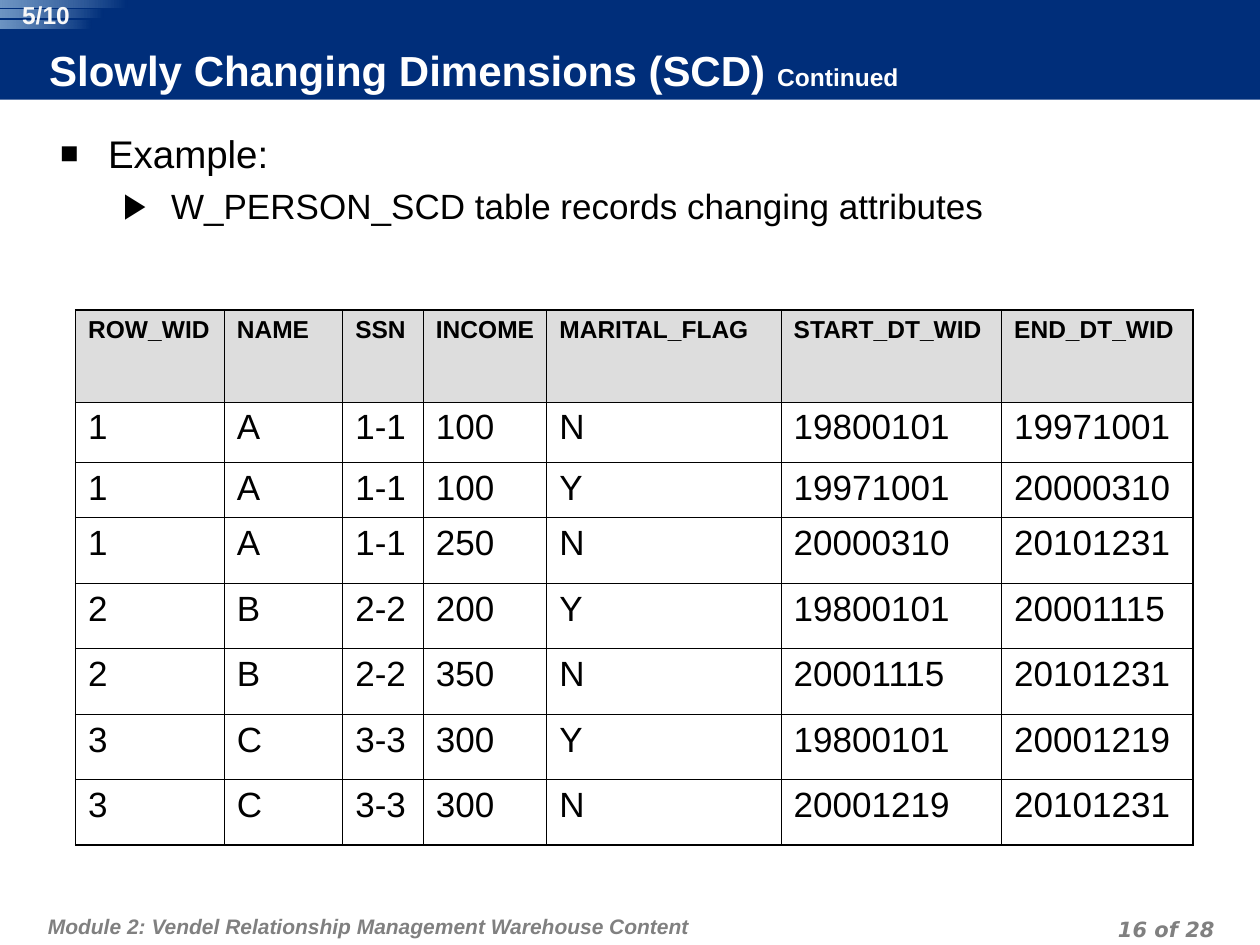
from lxml.etree import SubElement
from pptx import Presentation
from pptx.dml.color import RGBColor
from pptx.enum.dml import MSO_THEME_COLOR
from pptx.enum.shapes import MSO_SHAPE
from pptx.enum.text import MSO_ANCHOR, MSO_AUTO_SIZE, PP_ALIGN
from pptx.oxml import parse_xml
from pptx.oxml.ns import nsdecls, qn
from pptx.util import Emu, Inches, Pt

COLORS = {
    "navy": "002E7A", "sky": "90B5DA", "white": "FFFFFF", "counter": "F8F8F8",
    "black": "000000", "footer": "808080", "header": "DDDDDD",
}
COLUMN_WIDTHS = [1.18, 0.94, 0.64, 0.98, 1.86, 1.75, 1.52]
ROW_HEIGHTS = [0.73, 0.48, 0.44] + [0.52] * 5
OUTER_LINE, INNER_LINE = 1.08, 0.45
RECORDS = [
    "ROW_WID NAME SSN INCOME MARITAL_FLAG START_DT_WID END_DT_WID",
    "1 A 1-1 100 N 19800101 19971001",
    "1 A 1-1 100 Y 19971001 20000310",
    "1 A 1-1 250 N 20000310 20101231",
    "2 B 2-2 200 Y 19800101 20001115",
    "2 B 2-2 350 N 20001115 20101231",
    "3 C 3-3 300 Y 19800101 20001219",
    "3 C 3-3 300 N 20001219 20101231",
]
BULLETS = [
    # text, size, left indent, symbol, symbol size in percent
    ("Example:", 22, 0.38, "■", 80),
    ("W_PERSON_SCD table records changing attributes", 20, 0.88, "▶", 100),
]


def color(name):
    return RGBColor.from_string(COLORS[name])


def set_font(font, size, shade, bold=False, italic=False, family="Arial"):
    font.name, font.size, font.bold, font.italic = family, Pt(size), bold, italic
    font.color.rgb = color(shade)


def set_insets(frame, left, top, right, bottom):
    frame.margin_left, frame.margin_top = Inches(left), Inches(top)
    frame.margin_right, frame.margin_bottom = Inches(right), Inches(bottom)


def add_text_frame(slide, box, insets):
    frame = slide.shapes.add_textbox(*map(Inches, box)).text_frame
    frame.word_wrap = True
    set_insets(frame, *insets)
    return frame


def add_label(slide, box, insets, text, align, line_height=None, **font):
    label = add_text_frame(slide, box, insets).paragraphs[0]
    label.text, label.alignment = text, align
    if line_height:
        label.line_spacing = Pt(line_height)
    set_font(label.font, **font)


def add_block(slide, kind, box):
    block = slide.shapes.add_shape(kind, *map(Inches, box))
    block.shadow.inherit = False
    block.line.fill.background()
    return block


def add_stripe(slide, top, width, height):
    stripe = add_block(slide, MSO_SHAPE.ROUNDED_RECTANGLE, (0, top, width, height))
    stripe.adjustments[0] = 0
    stripe.fill.gradient()
    stripe.fill.gradient_angle = 180
    for stop, shade, place in zip(stripe.fill.gradient_stops, ("navy", "sky"), (0, 1)):
        stop.color.theme_color = MSO_THEME_COLOR.ACCENT_1
        stop.color.rgb = color(shade)
        stop.position = place
    # The light end is partly transparent
    light = stripe.fill._fill._gradFill.findall(".//" + qn("a:srgbClr"))[-1]
    SubElement(light, qn("a:alpha"), val="76000")


def format_title(slide):
    title = slide.shapes.title
    title.left, title.top, title.width, title.height = map(
        Inches, (0.39, 0.38, 7.87, 0.4))
    title.fill.solid()
    title.fill.fore_color.rgb = color("navy")
    frame = title.text_frame
    frame.auto_size = MSO_AUTO_SIZE.NONE
    frame.vertical_anchor = MSO_ANCHOR.MIDDLE
    set_insets(frame, 0, 0, 0.05, 0.05)
    heading = frame.paragraphs[0]
    heading.alignment = PP_ALIGN.LEFT
    for text, size in (("Slowly Changing Dimensions (SCD) ", 24), ("Continued", 14)):
        run = heading.add_run()
        run.text = text
        set_font(run.font, size, "white", bold=True)


def set_bullet(paragraph, indent, symbol, percent):
    props = paragraph._p.get_or_add_pPr()
    props.set("marL", str(Inches(indent)))
    props.set("indent", str(-Inches(0.38)))
    shade = SubElement(props, qn("a:buClr"))
    SubElement(shade, qn("a:srgbClr"), val=COLORS["black"])
    SubElement(props, qn("a:buSzPct"), val=str(percent * 1000))
    SubElement(props, qn("a:buFont"), typeface="Arial")
    SubElement(props, qn("a:buChar"), char=symbol)


def add_bullets(slide):
    frame = add_text_frame(slide, (0.38, 0.93, 9.3, 1.3), (0.1, 0.1, 0.1, 0.05))
    for level, (text, size, indent, symbol, percent) in enumerate(BULLETS):
        item = frame.add_paragraph() if level else frame.paragraphs[0]
        item.text, item.level = text, level
        set_bullet(item, indent, symbol, percent)
        if level:
            item.space_before = Pt(5)
        set_font(item.font, size, "black")


def set_borders(cell, widths):
    props = cell._tc.get_or_add_tcPr()
    for place, (side, width) in enumerate(zip("LRTB", widths)):
        props.insert(place, parse_xml(
            f'<a:ln{side} {nsdecls("a")} w="{Pt(width)}"><a:solidFill>'
            f'<a:srgbClr val="{COLORS["black"]}"/></a:solidFill></a:ln{side}>'))


def add_records_table(slide):
    rows, cols = len(ROW_HEIGHTS), len(COLUMN_WIDTHS)
    table = slide.shapes.add_table(
        rows, cols, Inches(0.6), Inches(2.46),
        Emu(sum(map(Inches, COLUMN_WIDTHS))), Emu(sum(map(Inches, ROW_HEIGHTS)))).table
    for column, width in zip(table.columns, COLUMN_WIDTHS):
        column.width = Inches(width)
    for row, height in zip(table.rows, ROW_HEIGHTS):
        row.height = Inches(height)
    for r, record in enumerate(RECORDS):
        for c, value in enumerate(record.split()):
            cell = table.cell(r, c)
            set_insets(cell, 0.1, 0.05, 0.1, 0.05)
            cell.fill.solid()
            cell.fill.fore_color.rgb = color("white" if r else "header")
            entry = cell.text_frame.paragraphs[0]
            entry.text = value
            set_font(entry.font, 20 if r else 14, "black", bold=r == 0)
            outer = (c == 0, c == cols - 1, r == 0, r == rows - 1)
            set_borders(cell, [OUTER_LINE if edge else INNER_LINE for edge in outer])


def main():
    deck = Presentation()
    deck.slide_width, deck.slide_height = Inches(10), Inches(7.5)
    slide = deck.slides.add_slide(deck.slide_layouts[5])

    # Title band, placed behind the title
    band = add_block(slide, MSO_SHAPE.RECTANGLE, (0, 0, 10, 0.79))
    band.fill.solid()
    band.fill.fore_color.rgb = color("navy")
    slide.shapes.title._element.addprevious(band._element)
    format_title(slide)

    # Footer
    footer = dict(line_height=18, size=12, shade="footer", bold=True, italic=True)
    add_label(slide, (0.33, 7.1, 6.18, 0.4), (0.05, 0.1, 0.05, 0.05),
              "Module 2: Vendel Relationship Management Warehouse Content",
              PP_ALIGN.LEFT, **footer)
    add_label(slide, (7.36, 7.22, 2.33, 0.25), (0.05, 0, 0.05, 0),
              "16 of 28", PP_ALIGN.RIGHT, family="DejaVu Sans", **footer)

    # Content
    add_bullets(slide)
    add_records_table(slide)

    # Progress counter on its stripes
    for top, width, height in ((0, 1.01, 0.06), (0.08, 0.82, 0.06), (0.16, 0.73, 0.07)):
        add_stripe(slide, top, width, height)
    add_label(slide, (0.11, 0, 0.51, 0.23), (0, 0, 0, 0), "5/10",
              PP_ALIGN.CENTER, size=14, shade="counter", bold=True)

    deck.save("out.pptx")


if __name__ == "__main__":
    main()
